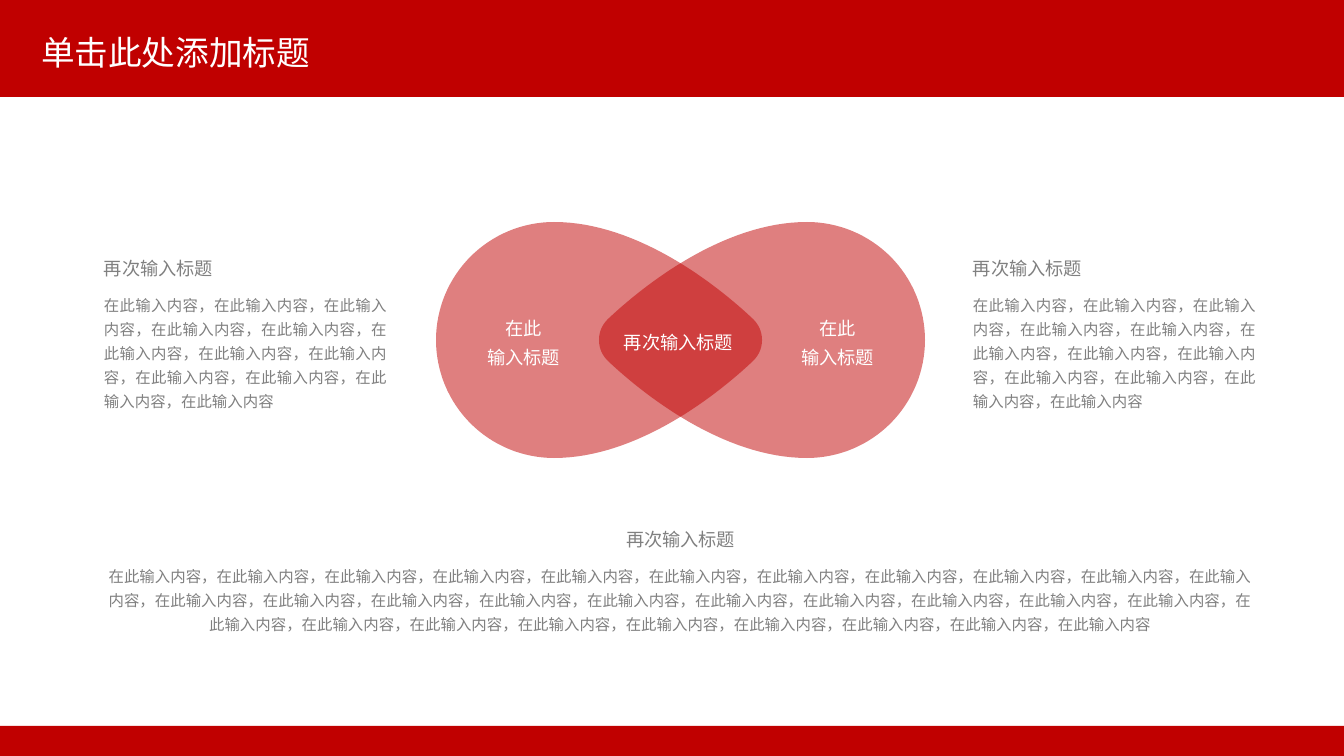
import math

from lxml import etree
from pptx import Presentation
from pptx import util as u
from pptx.dml.color import RGBColor
from pptx.enum import shapes, text
from pptx.oxml.ns import qn

PX = 12192000 / 1344
RED, GREY, WHITE = "C00000", "808080", "FFFFFF"
FONT, TITLE_FONT = "Noto Sans CJK SC", "Montserrat"
LEFT, CENTER, JUSTIFY = text.PP_ALIGN.LEFT, text.PP_ALIGN.CENTER, text.PP_ALIGN.JUSTIFY


def px(n):
    return u.Emu(round(n * PX))


def color(value):
    return RGBColor.from_string(value)


def bezier(a, b, c, d, steps):
    for i in range(1, steps + 1):
        t = i / steps
        v = 1 - t
        yield tuple(v**3 * k + 3 * v * v * t * l + 3 * v * t * t * m + t**3 * n
                    for k, l, m, n in zip(a, b, c, d))


def teardrop(cx, cy, radius):
    arc = [(cx - radius * math.sin(math.pi * i / 64), cy + radius * math.cos(math.pi * i / 64))
           for i in range(64, -1, -1)]
    side = list(bezier((cx, cy + radius), (638, 458), (718, 394), (753, 361), 32))
    side += bezier((753, 361), (759, 355), (762, 348), (762, cy), 12)
    mirrored = [(x, 2 * cy - y) for x, y in reversed(side[:-1])]
    return arc + side + mirrored


class Deck:
    def __init__(self):
        self.prs = Presentation()
        self.prs.slide_width, self.prs.slide_height = px(1344), px(756)
        self.s = self.prs.slides.add_slide(self.prs.slide_layouts[5])

    def paint(self, sp, fill, alpha=None):
        sp.shadow.inherit = False
        sp.fill.solid()
        sp.fill.fore_color.rgb = color(fill)
        sp.line.fill.background()
        if alpha is not None:
            clr = sp.element.spPr.find(".//" + qn("a:srgbClr"))
            etree.SubElement(clr, qn("a:alpha"), val=str(alpha * 1000))

    def style(self, p, size, fill, align, spacing, font=FONT):
        p.alignment, p.line_spacing = align, spacing
        f = p.font
        f.size, f.name = u.Pt(size), font
        f.color.rgb = color(fill)
        latin = p._p.find(".//" + qn("a:latin"))
        latin.addnext(latin.makeelement(qn("a:ea"), {"typeface": FONT}))

    def band(self, y, h):
        sp = self.s.shapes.add_shape(shapes.MSO_SHAPE.RECTANGLE, 0, px(y), px(1344), px(h))
        self.paint(sp, RED)

    def outline(self, points):
        fine = [(x * 100, y * 100) for x, y in points]
        builder = self.s.shapes.build_freeform(*fine[0], scale=PX / 100)
        builder.add_line_segments(fine[1:], close=True)
        self.paint(builder.convert_to_shape(), RED, alpha=50)

    def textbox(self, x, y, w, h, lines, fill, align, wrap=False, gap=0):
        sp = self.s.shapes.add_textbox(px(x), px(y), px(w), px(h))
        tf = sp.text_frame
        tf.word_wrap = wrap
        tf.auto_size = text.MSO_AUTO_SIZE.SHAPE_TO_FIT_TEXT
        tf.margin_left = tf.margin_right = px(13)
        tf.margin_top = tf.margin_bottom = px(7)
        for i, (line, size) in enumerate(lines):
            p = tf.paragraphs[0] if i == 0 else tf.add_paragraph()
            p.text = line
            if i and gap:
                p.space_before = u.Pt(gap)
            self.style(p, size, fill, align, 1.3)

    def note(self, x, y, w, h, repeats, align):
        body = "，".join(["在此输入内容"] * repeats)
        self.textbox(x, y, w, h, [("再次输入标题", 13), (body, 11)], GREY, align, True, 8)

    def title(self, x, y, w, h, words):
        sp = self.s.shapes.title
        sp.left, sp.top, sp.width, sp.height = px(x), px(y), px(w), px(h)
        tf = sp.text_frame
        tf.text = words
        tf.vertical_anchor = text.MSO_ANCHOR.MIDDLE
        self.style(tf.paragraphs[0], 24, WHITE, LEFT, 0.9, TITLE_FONT)
        self.s.shapes.element.append(sp.element)


def main():
    deck = Deck()
    deck.band(0, 97)
    deck.band(726, 30)

    drop = teardrop(554, 340, 118)
    deck.outline([(1361 - x, y) for x, y in drop])
    deck.outline(drop)

    for x in (960, 91):
        deck.note(x, 244, 309, 174, 12, JUSTIFY)
    deck.note(91, 515, 1179, 126, 30, CENTER)

    deck.textbox(611, 318, 137, 42, [("再次输入标题", 13)], WHITE, JUSTIFY)
    for x in (473, 787):
        deck.textbox(x, 304, 101, 71, [("在此", 13), ("输入标题", 13)], WHITE, CENTER)

    deck.title(31, 21, 1159, 67, "单击此处添加标题")
    deck.prs.save("out.pptx")


if __name__ == "__main__":
    main()
